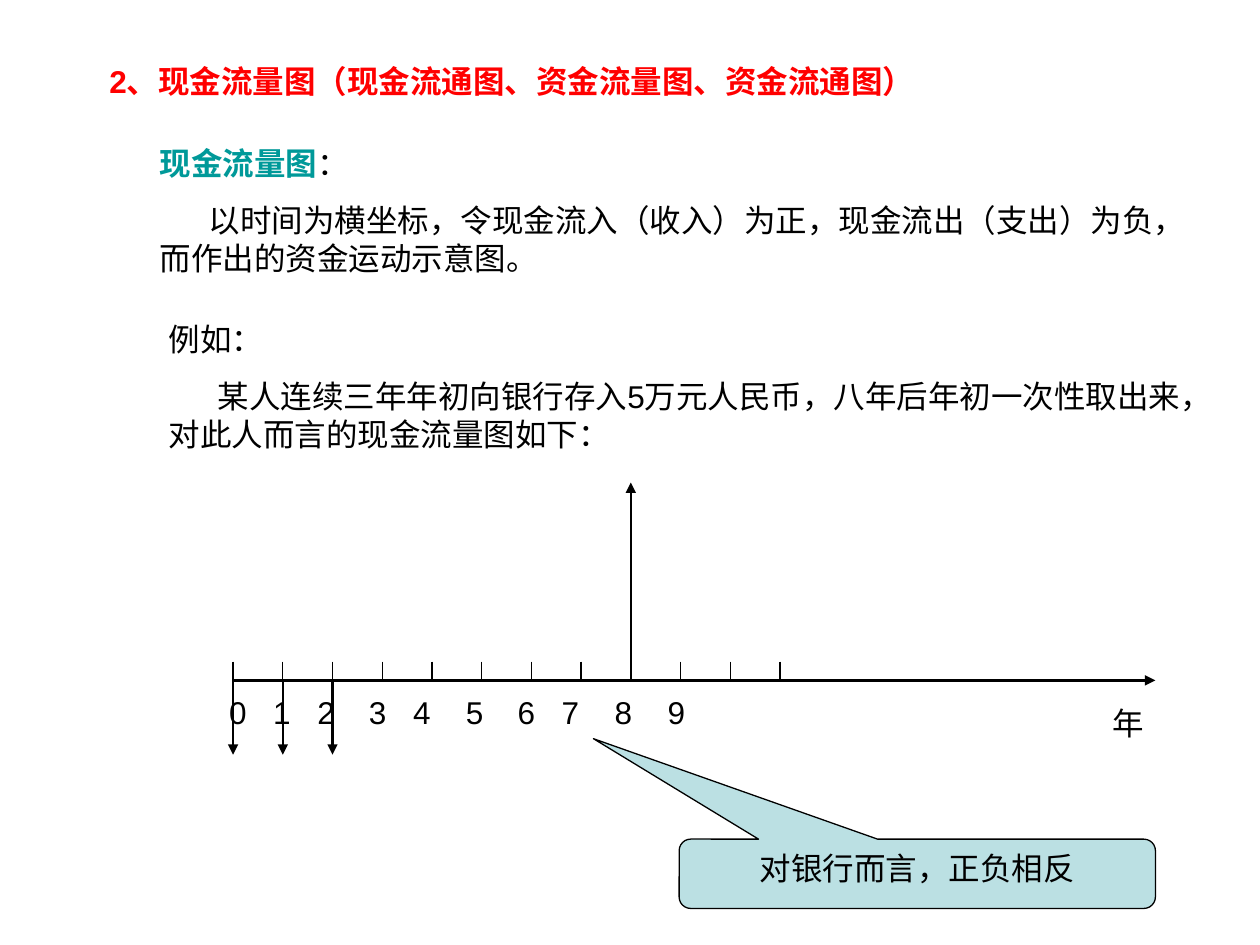
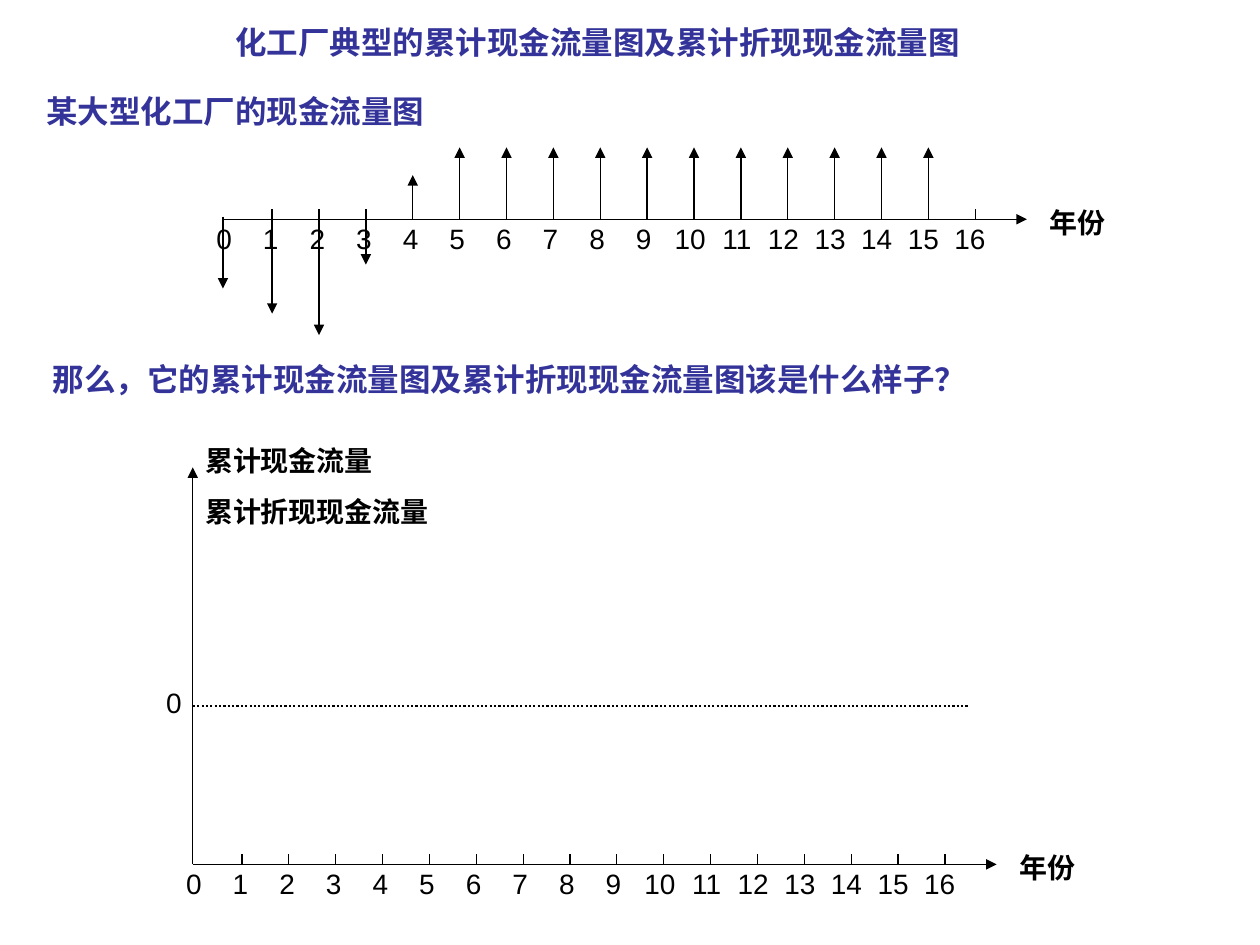
import pptx
import pptx.util
import pptx.dml.color
import pptx.enum.dml
import pptx.enum.shapes
import pptx.enum.text
import pptx.oxml.ns
import lxml.etree

Inches = pptx.util.Inches
qn = pptx.oxml.ns.qn
RGB = pptx.dml.color.RGBColor.from_string

COLORS = {"ink": "000000", "red": "FF0000", "teal": "009999",
          "navy": "333399", "pale": "BBE0E3"}
FONT = "Arial"


def write(shape, paras, size=18, indent=0, tabs=(), align="l"):
    """Fill a shape; each paragraph is a list of (text, color, bold) runs."""
    frame = shape.text_frame
    frame.word_wrap = True
    for n, runs in enumerate(paras):
        para = frame.paragraphs[0] if n == 0 else frame.add_paragraph()
        props = para._p.get_or_add_pPr()
        if tabs:
            stops = lxml.etree.SubElement(props, qn("a:tabLst"))
            for stop in tabs:
                lxml.etree.SubElement(stops, qn("a:tab"),
                                      pos=str(Inches(stop)), algn=align)
        if n:
            para.space_before = pptx.util.Pt(size * 0.62)
            props.set("indent", str(Inches(indent)))
        for words, color, bold in runs:
            run = para.add_run()
            run.text = words
            run.font.name = FONT
            run.font.size = pptx.util.Pt(size)
            run.font.bold = bold
            run.font.color.rgb = RGB(COLORS[color])


def draw(slide, x1, y1, x2, y2, width=0.75, arrow=False):
    """Draw a black straight line, with an arrowhead at its end if asked."""
    line = slide.shapes.add_connector(
        pptx.enum.shapes.MSO_CONNECTOR.STRAIGHT,
        Inches(x1), Inches(y1), Inches(x2), Inches(y2))
    line.line.color.rgb = RGB(COLORS["ink"])
    line.line.width = pptx.util.Pt(width)
    if arrow:
        lxml.etree.SubElement(line.line._get_or_add_ln(),
                              qn("a:tailEnd"), type="triangle")
    lxml.etree.SubElement(line._element.spPr, qn("a:effectLst"))
    return line


deck = pptx.Presentation()
deck.slide_width = Inches(10)
deck.slide_height = Inches(7.5)
blank = deck.slide_layouts[6]

# Slide 1: definition and example
slide = deck.slides.add_slide(blank)
blocks = [
    ((0.77, 0.44, 7.77, 0.4),
     [[("2、现金流量图（现金流通图、资金流量图、资金流通图）", "red", True)]]),
    ((1.17, 1.09, 8.55, 1.16),
     [[("现金流量图", "teal", True), ("：", "ink", False)],
      [("以时间为横坐标，令现金流入（收入）为正，现金流出（支出）为负，"
        "而作出的资金运动示意图。", "ink", False)]]),
    ((1.24, 2.49, 8.35, 1.16),
     [[("例如：", "ink", False)],
      [("某人连续三年年初向银行存入5万元人民币，八年后年初一次性取出来，"
        "对此人而言的现金流量图如下：", "ink", False)]]),
    ((8.73, 5.54, 0.63, 0.4), [[("年", "ink", False)]]),
]
for box, paras in blocks:
    write(slide.shapes.add_textbox(*map(Inches, box)), paras, indent=0.39)

# Time axis with ticks and year numbers
left, base = 1.85, 5.4
ticks = [left + 4.34 * i / 11 for i in range(12)]
draw(slide, left, base, 9.17, base, 1.5, True)
for x in ticks:
    draw(slide, x, base - 0.15, x, base)
row = slide.shapes.add_textbox(Inches(1.72), Inches(5.45), Inches(5.2), Inches(0.4))
write(row, [[("\t".join(map(str, range(10))), "ink", False)]],
      tabs=(0.35, 0.7, 1.11, 1.46, 1.88, 2.29, 2.64, 3.06, 3.48))

# Three deposits and one withdrawal
for x in ticks[:3]:
    draw(slide, x, base, x, 5.99, 1.25, True)
draw(slide, ticks[8], base, ticks[8], 3.83, 1, True)

# Callout
note = slide.shapes.add_shape(
    pptx.enum.shapes.MSO_SHAPE.ROUNDED_RECTANGULAR_CALLOUT,
    Inches(5.39), Inches(6.66), Inches(3.78), Inches(0.55))
note.shadow.inherit = False
note.adjustments[0] = -0.68
note.adjustments[1] = -1.95
note.fill.solid()
note.fill.fore_color.rgb = RGB(COLORS["pale"])
note.line.color.rgb = RGB(COLORS["ink"])
note.line.width = pptx.util.Pt(0.75)
note.text_frame.vertical_anchor = pptx.enum.text.MSO_ANCHOR.TOP
write(note, [[("对银行而言，正负相反", "ink", False)]])
note.text_frame.paragraphs[0].alignment = pptx.enum.text.PP_ALIGN.CENTER

# Slide 2: headings
slide = deck.slides.add_slide(blank)
heads = [
    ((1.77, 0.13, 6.61, 0.4), "化工厂典型的累计现金流量图及累计折现现金流量图"),
    ((0.27, 0.68, 3.31, 0.4), "某大型化工厂的现金流量图"),
    ((0.32, 2.81, 8.19, 0.4), "那么，它的累计现金流量图及累计折现现金流量图该是什么样子？"),
]
for box, words in heads:
    write(slide.shapes.add_textbox(*map(Inches, box)), [[(words, "navy", True)]])

# Two year axes: flows above, running totals below
years = range(17)
steps = [0] + [0.39 + 5.58 * i / 15 for i in range(16)]
for left, base in ((1.77, 1.74), (1.53, 6.86)):
    draw(slide, left, base, left + 6.38, base, arrow=True)
    for step in steps[1:]:
        draw(slide, left + step, base - 0.08, left + step, base)
    row = slide.shapes.add_textbox(Inches(left - 0.15), Inches(base - 0.03),
                                   Inches(6.46), Inches(0.4))
    write(row, [[("\t".join(map(str, years)), "ink", False)]], 16,
          tabs=[0.06 + 0.37 * i for i in years[1:]], align="ctr")
    name = slide.shapes.add_textbox(Inches(left + 6.46), Inches(base - 0.16),
                                    Inches(1.02), Inches(0.37))
    write(name, [[("年份", "ink", True)]], 16)

# Yearly flows: outlays point down, income points up
tips = [2.29, 2.49, 2.66, 2.1, 1.39] + [1.17] * 11
for step, tip in zip(steps, tips):
    draw(slide, 1.77 + step, 1.72, 1.77 + step, tip, arrow=True)

# Value axis and zero line of the lower chart
draw(slide, 1.53, 6.86, 1.53, 3.71, arrow=True)
zero = draw(slide, 1.53, 5.6, 7.68, 5.6, 1.25)
zero.line.dash_style = pptx.enum.dml.MSO_LINE.ROUND_DOT
marks = [
    ((1.53, 3.47, 2.21, 0.77),
     [[("累计现金流量", "ink", True)], [("累计折现现金流量", "ink", True)]]),
    ((1.22, 5.39, 0.39, 0.37), [[("0", "ink", False)]]),
]
for box, paras in marks:
    write(slide.shapes.add_textbox(*map(Inches, box)), paras, 16)

deck.save("out.pptx")
